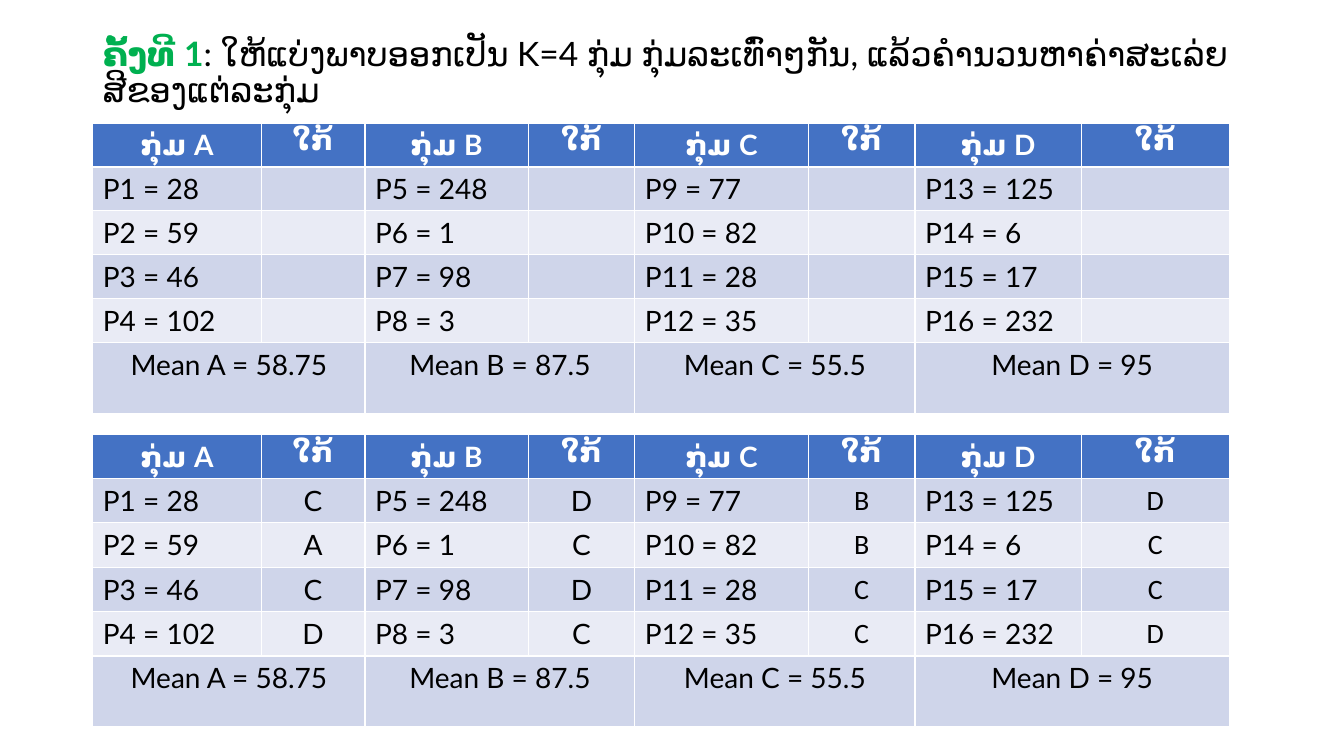
"""Build the first K-means step slide: pixel groups and their nearest means."""
from dataclasses import dataclass
from typing import Optional

from pptx import Presentation
from pptx.dml.color import RGBColor
from pptx.enum.text import MSO_ANCHOR, MSO_AUTO_SIZE, PP_ALIGN
from pptx.slide import Slide
from pptx.table import Table, _Cell as Cell
from pptx.text.text import _Paragraph as Paragraph
from pptx.util import Cm, Pt


@dataclass(frozen=True)
class Theme:
    font: str = "Lato"
    plain_font: str = "Calibri"
    title_size: Pt = Pt(24)
    cell_size: Pt = Pt(20)
    text: RGBColor = RGBColor(0x00, 0x00, 0x00)
    accent: RGBColor = RGBColor(0x00, 0xB0, 0x50)
    header_text: RGBColor = RGBColor(0xFF, 0xFF, 0xFF)
    header: RGBColor = RGBColor(0x44, 0x72, 0xC4)
    dark_band: RGBColor = RGBColor(0xCF, 0xD5, 0xEA)
    light_band: RGBColor = RGBColor(0xE9, 0xEB, 0xF5)


@dataclass(frozen=True)
class Group:
    name: str
    values: tuple[int, ...]
    nearest: str
    nearest_font: str

    @property
    def mean(self) -> float:
        return sum(self.values) / len(self.values)


@dataclass(frozen=True)
class GroupTable:
    top: float
    header_height: float
    shows_nearest: bool


THEME = Theme()
GROUPS = (
    Group("A", (28, 59, 46, 102), "CACD", THEME.font),
    Group("B", (248, 1, 98, 3), "DCDC", THEME.font),
    Group("C", (77, 82, 28, 35), "BBCC", THEME.plain_font),
    Group("D", (125, 6, 17, 232), "DCCD", THEME.plain_font),
)
GROUP_TABLES = (GroupTable(3.1, 0.71, False), GroupTable(10.95, 1.02, True))
LEFT = 2.34
COLUMN_WIDTHS = (4.24, 2.62, 4.11, 2.69, 4.37, 2.69, 4.19, 3.73)
POINT_HEIGHT = 1.02
MEAN_HEIGHT = 1.78
POINTS = len(GROUPS[0].values)
MEAN_ROW = POINTS + 1


def add_run(paragraph: Paragraph, text: str, size: Pt, color: RGBColor,
            bold: bool = False, font: str = THEME.font) -> None:
    run = paragraph.add_run()
    run.text = text
    run.font.name = font
    run.font.size = size
    run.font.bold = bold
    run.font.color.rgb = color


def write_cell(cell: Cell, text: str, align: Optional[PP_ALIGN] = PP_ALIGN.CENTER,
               font: str = THEME.font, header: bool = False) -> None:
    paragraph = cell.text_frame.paragraphs[0]
    paragraph.alignment = align
    color = THEME.header_text if header else THEME.text
    add_run(paragraph, text, THEME.cell_size, color, header, font)


def fill_bands(table: Table) -> None:
    for index, row in enumerate(table.rows):
        band = THEME.dark_band if index % 2 else THEME.light_band
        for cell in row.cells:
            cell.fill.solid()
            cell.fill.fore_color.rgb = band if index else THEME.header


def write_group(table: Table, index: int, group: Group, shows_nearest: bool) -> None:
    column = 2 * index
    write_cell(table.cell(0, column), f"ກຸ່ມ {group.name}", header=True)
    write_cell(table.cell(0, column + 1), "ໃກ້", header=True)
    for row, (value, nearest) in enumerate(zip(group.values, group.nearest), start=1):
        point = f"P{index * POINTS + row} = {value}"
        write_cell(table.cell(row, column), point, PP_ALIGN.LEFT)
        if shows_nearest:
            write_cell(table.cell(row, column + 1), nearest, font=group.nearest_font)
    mean_cell = table.cell(MEAN_ROW, column)
    mean_cell.merge(table.cell(MEAN_ROW, column + 1))
    write_cell(mean_cell, f"Mean {group.name} = {group.mean:g}")


def add_group_table(slide: Slide, layout: GroupTable) -> None:
    heights = (layout.header_height, *[POINT_HEIGHT] * POINTS, MEAN_HEIGHT)
    table = slide.shapes.add_table(
        len(heights), len(COLUMN_WIDTHS), Cm(LEFT), Cm(layout.top),
        Cm(sum(COLUMN_WIDTHS)), Cm(sum(heights))).table
    for column, width in zip(table.columns, COLUMN_WIDTHS):
        column.width = Cm(width)
    for row, height in zip(table.rows, heights):
        row.height = Cm(height)
    fill_bands(table)
    for index, group in enumerate(GROUPS):
        write_group(table, index, group, layout.shows_nearest)


def write_title(slide: Slide) -> None:
    title = slide.shapes.title
    title.left, title.top = Cm(LEFT), Cm(0.81)
    title.width, title.height = Cm(29.21), Cm(14.12)
    frame = title.text_frame
    frame.word_wrap = True
    frame.auto_size = MSO_AUTO_SIZE.NONE
    frame.vertical_anchor = MSO_ANCHOR.TOP
    paragraph = frame.paragraphs[0]
    paragraph.alignment = PP_ALIGN.LEFT
    paragraph.line_spacing = 0.9
    paragraph.space_before = Pt(10)
    add_run(paragraph, "ຄັ້ງທີ 1", THEME.title_size, THEME.accent, bold=True)
    add_run(paragraph,
            ": ໃຫ້ແບ່ງພາບອອກເປັນ K=4 ກຸ່ມ ກຸ່ມລະເທົ່າໆກັນ, "
            "ແລ້ວຄຳນວນຫາຄ່າສະເລ່ຍສີຂອງແຕ່ລະກຸ່ມ",
            THEME.title_size, THEME.text)


def main() -> None:
    presentation = Presentation()
    presentation.slide_width, presentation.slide_height = Cm(33.87), Cm(19.05)
    slide = presentation.slides.add_slide(presentation.slide_layouts[5])
    write_title(slide)
    for layout in GROUP_TABLES:
        add_group_table(slide, layout)
    presentation.save("out.pptx")


main()
